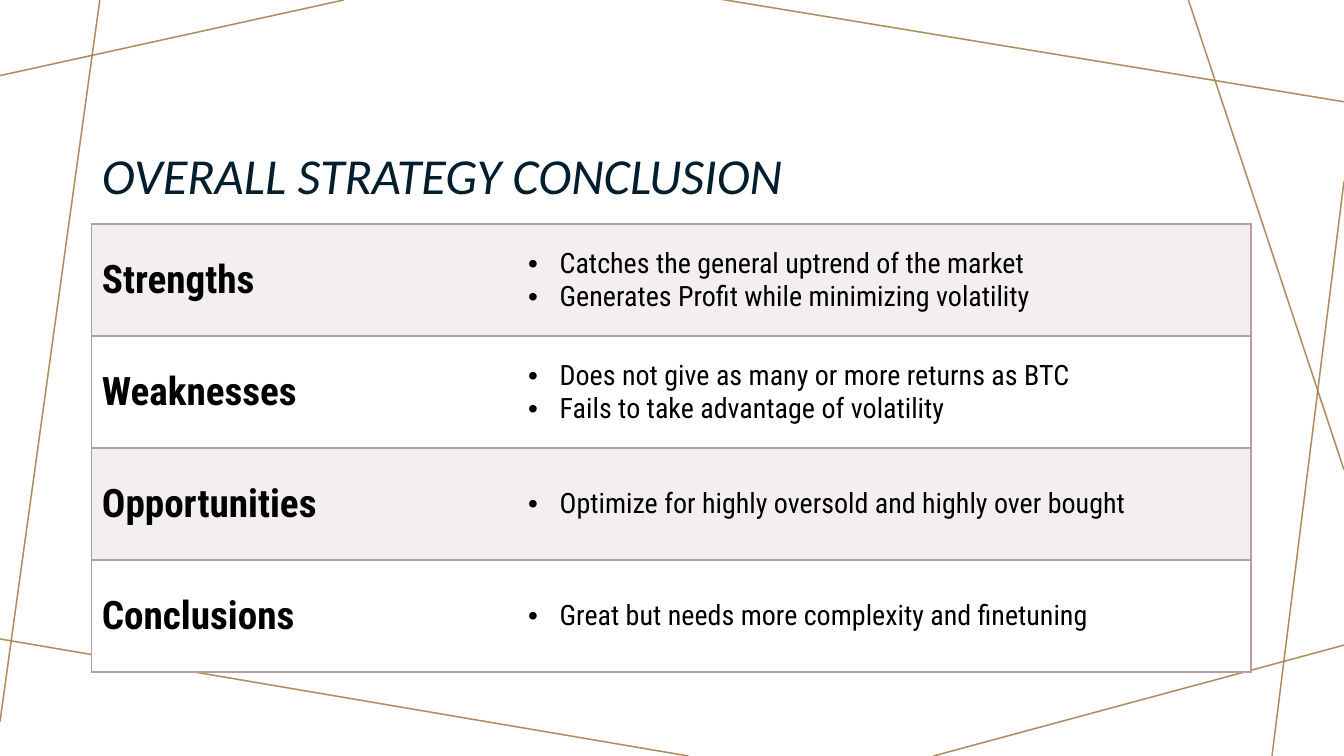
from lxml.etree import SubElement
from pptx import Presentation
from pptx.dml.color import RGBColor
from pptx.enum.shapes import MSO_CONNECTOR
from pptx.enum.text import MSO_ANCHOR, PP_ALIGN
from pptx.oxml.ns import qn
from pptx.util import Pt

COLOURS = {
    "rose": "BA9CA0",
    "gold": "A57931",
    "navy": "001E2E",
    "black": "000000",
    "band": "F3EFF0",
    "white": "FFFFFF",
}


def colour(name):
    return RGBColor.from_string(COLOURS[name])


def style_text(para, font_name, size, colour_name, bold=False, italic=False):
    for span in para.runs:
        span.font.name = font_name
        span.font.size = Pt(size)
        span.font.color.rgb = colour(colour_name)
        span.font.bold = bold
        span.font.italic = italic


deck = Presentation()
deck.slide_width, deck.slide_height = Pt(960), Pt(540)
page = deck.slides.add_slide(deck.slide_layouts[5])
page.background.fill.solid()
page.background.fill.fore_color.rgb = colour("white")

# Crossing lines: a gold set over a rose set, both translucent
crossing_lines = [
    (245.5, 0, 0, 54),
    (71.3, 0, 0, 515.5),
    (491.8, 540, -3.6, 455.8),
    (960, 460.8, 666.7, 540),
    (960, 129.6, 908.6, 540),
    (960, 335.5, 848.9, 0),
    (960, 72.7, 514.1, -0.7),
]
for line_colour in ("rose", "gold"):
    for ends in crossing_lines:
        line = page.shapes.add_connector(MSO_CONNECTOR.STRAIGHT, *map(Pt, ends))
        line.line.width = Pt(1)
        line.line.color.rgb = colour(line_colour)
        line_hex = next(line.line._ln.iter(qn("a:srgbClr")))
        SubElement(line_hex, qn("a:alpha"), val="70000")
        SubElement(line._element.spPr, qn("a:effectLst"))

# Title
title = page.shapes.title
title.left, title.top, title.width, title.height = Pt(65.6), Pt(41.8), Pt(804), Pt(108.7)
title.text_frame.text = "OVERALL STRATEGY CONCLUSION"
title.text_frame.vertical_anchor = MSO_ANCHOR.BOTTOM
title_para = title.text_frame.paragraphs[0]
title_para.alignment = PP_ALIGN.LEFT
title_para.line_spacing = 0.9
style_text(title_para, "Calibri", 36, "navy", italic=True)

# Table: a heading and its bullet points in each row
findings = [
    ("Strengths", ["Catches the general uptrend of the market",
                   "Generates Profit while minimizing volatility"]),
    ("Weaknesses", ["Does not give as many or more returns as BTC",
                    "Fails to take advantage of volatility"]),
    ("Opportunities", ["Optimize for highly oversold and highly over bought"]),
    ("Conclusions", ["Great but needs more complexity and finetuning"]),
]
frame = page.shapes.add_table(len(findings), 2, Pt(65.6), Pt(160), Pt(828), Pt(320))
table = frame.table
table.first_row = False
table.horz_banding = False
table.columns[0].width, table.columns[1].width = Pt(304.5), Pt(523.5)

for row_index, (heading, points) in enumerate(findings):
    table.rows[row_index].height = Pt(80)
    heading_cell, points_cell = table.rows[row_index].cells

    heading_cell.text_frame.text = heading
    style_text(heading_cell.text_frame.paragraphs[0], "Roboto Condensed", 28, "black", bold=True)

    points_cell.text_frame.text = "\n".join(points)
    for para in points_cell.text_frame.paragraphs:
        style_text(para, "Roboto Condensed", 20, "black")
        properties = para._p.get_or_add_pPr()
        properties.set("marL", str(Pt(22.5)))
        properties.set("indent", str(-Pt(22.5)))
        SubElement(properties, qn("a:buFont"), typeface="Arial")
        SubElement(properties, qn("a:buChar"), char="•")

    # Borders all round the row, none between its two cells
    for cell, open_side in ((heading_cell, "R"), (points_cell, "L")):
        cell.vertical_anchor = MSO_ANCHOR.MIDDLE
        cell_properties = cell._tc.get_or_add_tcPr()
        for side in "LRTB":
            border = SubElement(cell_properties, qn(f"a:ln{side}"), w=str(Pt(1)))
            if side == open_side:
                SubElement(border, qn("a:noFill"))
            else:
                border_fill = SubElement(border, qn("a:solidFill"))
                SubElement(border_fill, qn("a:srgbClr"), val=COLOURS["rose"])
        cell.fill.solid()
        cell.fill.fore_color.rgb = colour("white" if row_index % 2 else "band")

deck.save("out.pptx")
